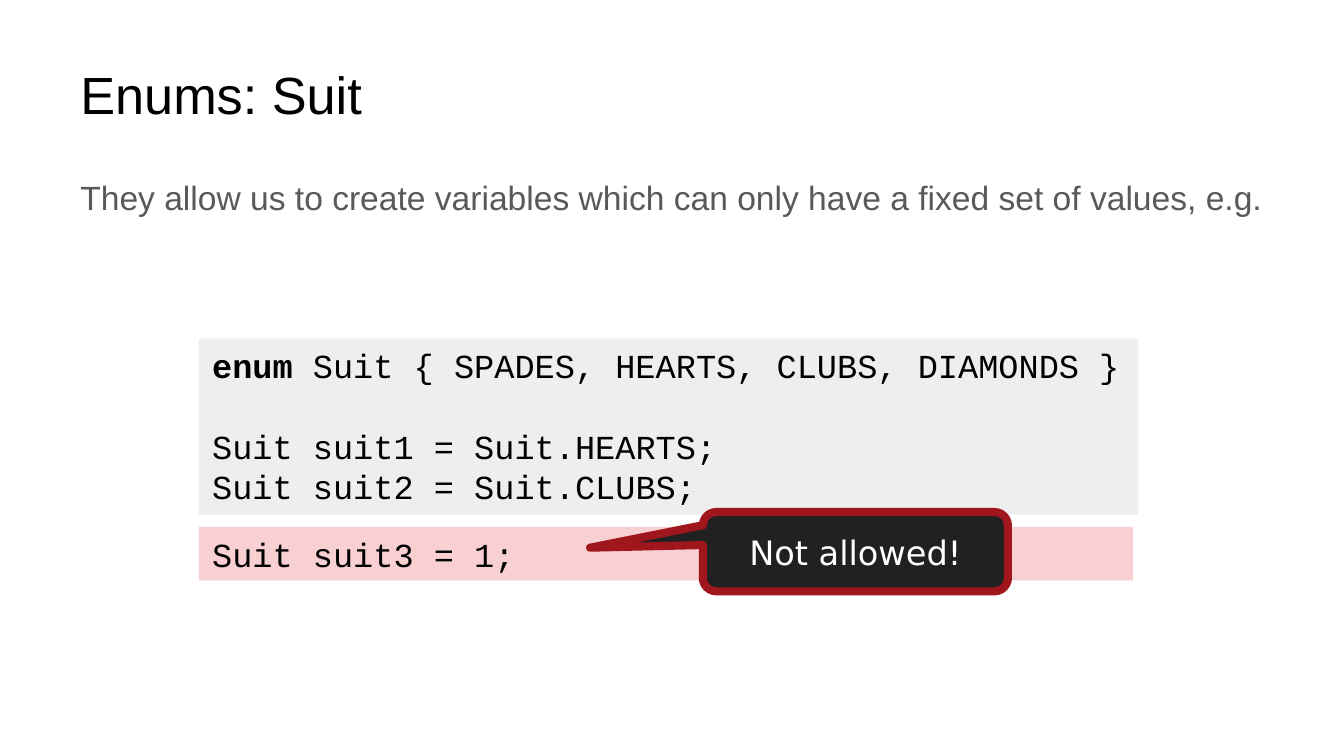
import pptx
import pptx.util
import pptx.dml.color
import pptx.enum.shapes
import pptx.enum.text

Inches = pptx.util.Inches
Pt = pptx.util.Pt
RGBColor = pptx.dml.color.RGBColor
KIND = pptx.enum.shapes.MSO_SHAPE
ALIGN = pptx.enum.text.PP_ALIGN
ANCHOR = pptx.enum.text.MSO_ANCHOR

BLACK = RGBColor(0x00, 0x00, 0x00)
WHITE = RGBColor(0xFF, 0xFF, 0xFF)
GREY = RGBColor(0x59, 0x59, 0x59)
PALE = RGBColor(0xEE, 0xEE, 0xEE)
PINK = RGBColor(0xF8, 0xD0, 0xD2)
DARK = RGBColor(0x21, 0x21, 0x21)
RED = RGBColor(0x9F, 0x16, 0x1D)


def write(shape, text, font, color, size=18, align=ALIGN.LEFT, anchor=ANCHOR.TOP):
    """Fill the shape with text in one style, one paragraph per line."""
    frame = shape.text_frame
    frame.text = text
    frame.word_wrap = True
    frame.vertical_anchor = anchor
    for para in frame.paragraphs:
        para.alignment = align
        for run in para.runs:
            run.font.name = font
            run.font.size = Pt(size)
            run.font.color.rgb = color
    return frame.paragraphs


def panel(kind, left, top, width, height, fill):
    shape = slide.shapes.add_shape(
        kind, Inches(left), Inches(top), Inches(width), Inches(height))
    shape.shadow.inherit = False
    shape.fill.solid()
    shape.fill.fore_color.rgb = fill
    shape.line.fill.background()
    return shape


# Widescreen, 16 to 9
deck = pptx.Presentation()
deck.slide_width = Inches(10)
deck.slide_height = Inches(10) * 9 // 16
slide = deck.slides.add_slide(deck.slide_layouts[6])

# Lead sentence and heading
body = slide.shapes.add_textbox(Inches(0.5), Inches(1.22), Inches(9), Inches(3.71))
lead = write(
    body,
    "They allow us to create variables which can only have a fixed set of values, e.g.",
    "Arial", GREY)[0]
lead.line_spacing = 1.15
lead.space_before = Pt(4)

title = slide.shapes.add_textbox(Inches(0.5), Inches(0.23), Inches(9), Inches(0.94))
write(title, "Enums: Suit", "Arial", BLACK, size=28, anchor=ANCHOR.MIDDLE)

# Valid code, with the keyword in bold and a one-line gap after the enum
code = panel(KIND.RECTANGLE, 1.48, 2.52, 6.99, 1.31, PALE)
lines = write(
    code,
    "enum \nSuit suit1 = Suit.HEARTS;\nSuit suit2 = Suit.CLUBS;",
    "Courier New", BLACK)
lines[0].runs[0].font.bold = True
rest = lines[0].add_run()
rest.text = "Suit { SPADES, HEARTS, CLUBS, DIAMONDS }"
rest.font.name = "Courier New"
rest.font.size = Pt(18)
rest.font.color.rgb = BLACK
lines[1].space_before = Pt(21.6)

# Invalid code and its callout
wrong = panel(KIND.RECTANGLE, 1.48, 3.92, 6.95, 0.4, PINK)
write(wrong, "Suit suit3 = 1;", "Courier New", BLACK)

note = panel(KIND.ROUNDED_RECTANGULAR_CALLOUT, 5.23, 3.81, 2.27, 0.59, DARK)
note.adjustments[0] = -0.87
note.adjustments[1] = -0.05
note.adjustments[2] = 0.17
note.line.color.rgb = RED
note.line.width = Pt(4.33)
write(note, "Not allowed!", "DejaVu Sans", WHITE,
      align=ALIGN.CENTER, anchor=ANCHOR.MIDDLE)

deck.save("out.pptx")
